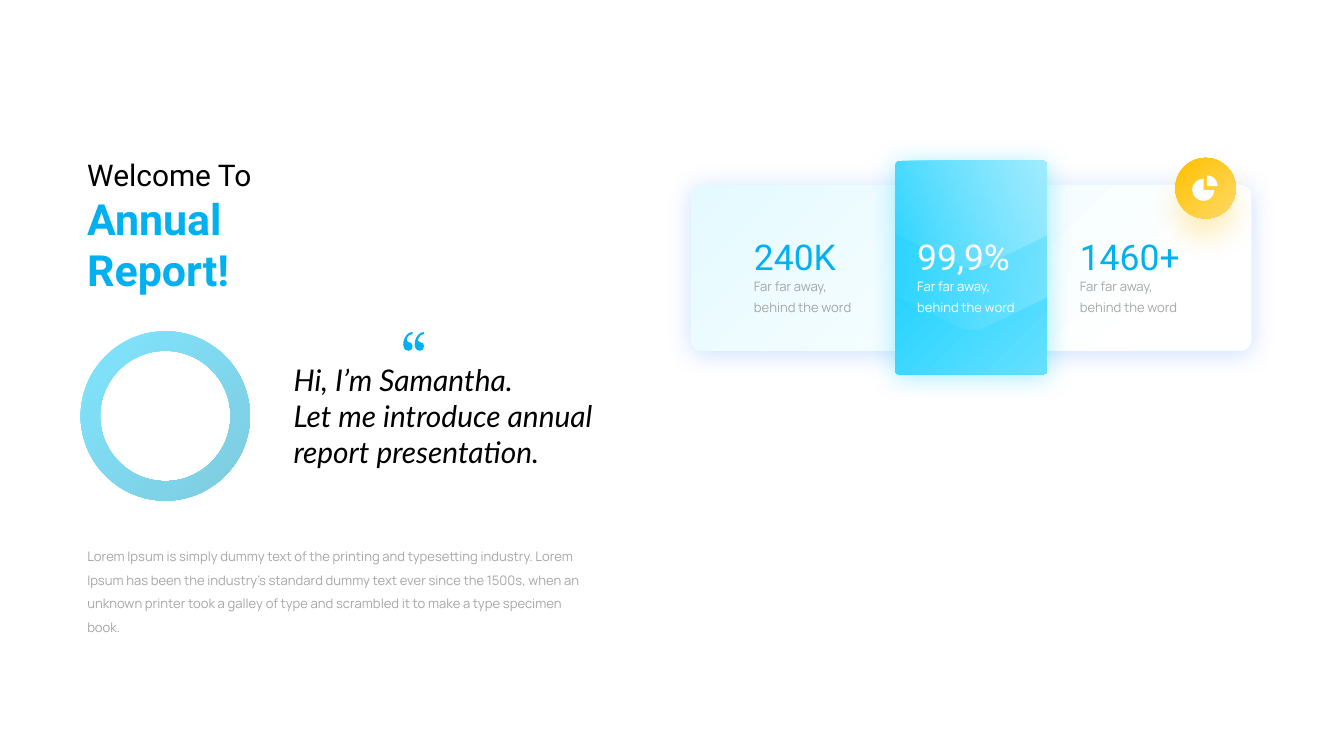
from lxml.etree import SubElement
from pptx import Presentation
from pptx.dml.color import RGBColor
from pptx.enum.shapes import MSO_SHAPE as Kind
from pptx.enum.text import MSO_AUTO_SIZE as Fit
from pptx.oxml.ns import qn
from pptx.util import Inches, Pt

BLUE, GREY, WHITE = "00B0F0", "A6A6A6", "FFFFFF"


def rgb(code):
    return RGBColor.from_string(code)


def paint(shape, stops, angle=45):
    """Fill with (position, colour, opacity) stops; angle runs clockwise."""
    fill = shape.fill
    fill.gradient()
    fill.gradient_angle = 360 - angle
    for stop, (pos, code, alpha) in zip(fill.gradient_stops, stops):
        stop.position = pos / 100
        stop.color.rgb = rgb(code)
    marks = shape._element.spPr.findall(".//" + qn("a:srgbClr"))
    for mark, (pos, code, alpha) in zip(marks, stops):
        if alpha < 100:
            SubElement(mark, qn("a:alpha"), val=str(alpha * 1000))


def clean(shape):
    shape.shadow.inherit = False
    shape.line.fill.background()


def glow(shape, code, alpha, drop):
    effects = shape._element.spPr.find(qn("a:effectLst"))
    outer = SubElement(effects, qn("a:outerShdw"), blurRad=str(Pt(28)),
                       dist=str(Pt(drop)), dir="5400000", algn="t",
                       rotWithShape="0")
    color = SubElement(outer, qn("a:srgbClr"), val=code)
    SubElement(color, qn("a:alpha"), val=str(alpha * 1000))


def add_form(slide, kind, box, stops, adjust=None):
    shape = slide.shapes.add_shape(kind, *map(Inches, box))
    if adjust is not None:
        shape.adjustments[0] = adjust
    clean(shape)
    paint(shape, stops)
    return shape


def bend(shape, steps):
    """Merge the three segments of each six-number step into one curve."""
    lines = iter(shape._element.spPr.findall(".//" + qn("a:lnTo")))
    for step in steps:
        first = next(lines)
        if len(step) == 6:
            first.tag = qn("a:cubicBezTo")
            for _ in range(2):
                line = next(lines)
                first.append(line[0])
                line.getparent().remove(line)


def add_path(slide, *outlines):
    """Draw outlines: a start, then line (x, y) or curve (six numbers) steps."""
    pen = None
    for start, *steps in outlines:
        x, y = map(Inches, start)
        if pen:
            pen.move_to(x, y)
        else:
            pen = slide.shapes.build_freeform(x, y)
        points = [(Inches(step[i]), Inches(step[i + 1]))
                  for step in steps for i in range(0, len(step), 2)]
        pen.add_line_segments(points, close=True)
    shape = pen.convert_to_shape()
    bend(shape, [step for outline in outlines for step in outline[1:]])
    clean(shape)
    return shape


def add_icon(slide, code, *outlines):
    shape = add_path(slide, *outlines)
    shape.fill.solid()
    shape.fill.fore_color.rgb = rgb(code)


def circle(x, y, r):
    k = 0.55 * r
    return [(x, y - r),
            (x + k, y - r, x + r, y - k, x + r, y),
            (x + r, y + k, x + k, y + r, x, y + r),
            (x - k, y + r, x - r, y + k, x - r, y),
            (x - r, y - k, x - k, y - r, x, y - r)]


def add_text(slide, box, lines, space=None, after=None):
    """Write lines of (text, size, font, colour, bold, italic)."""
    frame = slide.shapes.add_textbox(*map(Inches, box)).text_frame
    frame.word_wrap = True
    frame.auto_size = Fit.SHAPE_TO_FIT_TEXT
    for i, (text, size, name, code, bold, italic) in enumerate(lines):
        para = frame.add_paragraph() if i else frame.paragraphs[0]
        para.text = text
        para.line_spacing = space
        para.space_after = after
        font = para.runs[0].font
        font.size, font.name = Pt(size), name
        font.bold, font.italic = bold, italic
        font.color.rgb = rgb(code)


def add_stat(slide, left, value, hue, tone):
    note = "Far far away, behind the word"
    for top, high, line in (
            (4.03, 0.71, (note, 14, "Manrope", tone, False, False)),
            (3.26, 0.93, (value, 38, "Roboto", hue, False, False))):
        add_text(slide, (left, top, 1.81, high), [line], 1.3, Pt(6))


def add_sheen(slide, low):
    """Lay a fading white pane over the middle card, its tip near low."""
    pane = add_path(slide, [
        (13.32, low - 0.5), (13.32, 2.45),
        (13.32, 2.42, 13.35, 2.39, 13.38, 2.39), (15.52, 2.39),
        (15.56, 2.39, 15.58, 2.42, 15.58, 2.45), (15.58, low - 0.48),
        (15.54, low - 0.46),
        (15.35, low - 0.37, 15.06, low - 0.23, 14.65, low - 0.03),
        (14.54, low + 0.02, 14.4, low + 0.02, 14.29, low - 0.03),
        (14.29, low - 0.03, 14.29, low - 0.03, 13.4, low - 0.46)])
    paint(pane, [(0, WHITE, 34), (100, WHITE, 0)], 135)


def add_quote(slide):
    marks = [[(x, 4.94), (x, 4.97, x, 4.97, x, 4.97),
              (x - 0.08, 4.97, x - 0.12, 5.09, x - 0.06, 5.09),
              (x - 0.02, 5.09, x, 5.12, x, 5.15),
              (x, 5.19, x - 0.02, 5.22, x - 0.06, 5.22),
              (x - 0.2, 5.22, x - 0.14, 4.94, x, 4.94)]
             for x in (6.31, 6.14)]
    add_icon(slide, BLUE, *marks)


def add_pie(slide):
    body = [(18.07, 2.83), (18.07, 2.82, 18.07, 2.82, 18.07, 2.82),
            (18.07, 2.92, 18, 2.99, 17.91, 2.99),
            (17.82, 2.99, 17.74, 2.92, 17.74, 2.82),
            (17.74, 2.73, 17.82, 2.66, 17.91, 2.66),
            (17.91, 2.83, 17.91, 2.83, 17.91, 2.83), (18.07, 2.83)]
    slice_ = [(17.96, 2.77), (17.96, 2.61, 17.96, 2.61, 17.96, 2.61),
              (18.05, 2.61, 18.12, 2.68, 18.12, 2.77),
              (18.12, 2.77, 18.12, 2.77, 18.12, 2.77), (17.96, 2.77)]
    add_icon(slide, WHITE, body, slice_)


def add_intro(slide):
    add_text(slide, (1.2, 2.28, 4.33, 1.41), [
        ("Welcome To", 32, "Roboto", "000000", False, False),
        ("Annual Report!", 46, "Roboto", BLUE, True, False)])
    ring = add_path(slide, circle(2.46, 6.19, 0.97), circle(2.46, 6.19, 1.26))
    paint(ring, [(0, "00CCFF", 50), (100, "0099BF", 50)])
    add_text(slide, (4.27, 5.33, 4.73, 1.72), [
        (text, 32, "Lato", "000000", False, True) for text in (
            "Hi, I’m Samantha.",
            "Let me introduce annual report presentation.")])
    lorem = ("Lorem Ipsum is simply dummy text of the printing and "
             "typesetting industry. Lorem Ipsum has been the industry's "
             "standard dummy text ever since the 1500s, when an unknown "
             "printer took a galley of type and scrambled it to make a "
             "type specimen book.")
    add_text(slide, (1.2, 8, 7.62, 1.48),
             [(lorem, 14, "Manrope", GREY, False, False)], 1.5)
    add_quote(slide)


def add_cards(slide):
    panel = add_form(slide, Kind.ROUNDED_RECTANGLE, (10.28, 2.75, 8.34, 2.47),
                     [(0, "E5FAFF", 100), (84, WHITE, 100)], 0.067)
    glow(panel, "056AFF", 20, 3)
    add_stat(slide, 11.12, "240K", BLUE, GREY)
    card = add_form(slide, Kind.ROUNDED_RECTANGLE, (13.32, 2.39, 2.26, 3.18),
                    [(0, "00CCFF", 100), (100, "66E0FF", 100)], 0.03)
    glow(card, "00CCFF", 34, 3)
    add_stat(slide, 15.97, "1460+", BLUE, GREY)
    badge = add_form(slide, Kind.OVAL, (17.49, 2.35, 0.9, 0.9),
                     [(0, "FFC000", 100), (100, "FFD966", 100)])
    glow(badge, "FFC000", 23, 21)
    add_pie(slide)
    for low in (4.89, 3.98):
        add_sheen(slide, low)
    add_stat(slide, 13.55, "99,9%", WHITE, WHITE)


def main():
    deck = Presentation()
    deck.slide_width, deck.slide_height = Inches(20), Inches(11.25)
    slide = deck.slides.add_slide(deck.slide_layouts[6])
    add_intro(slide)
    add_cards(slide)
    deck.save("out.pptx")


if __name__ == "__main__":
    main()
